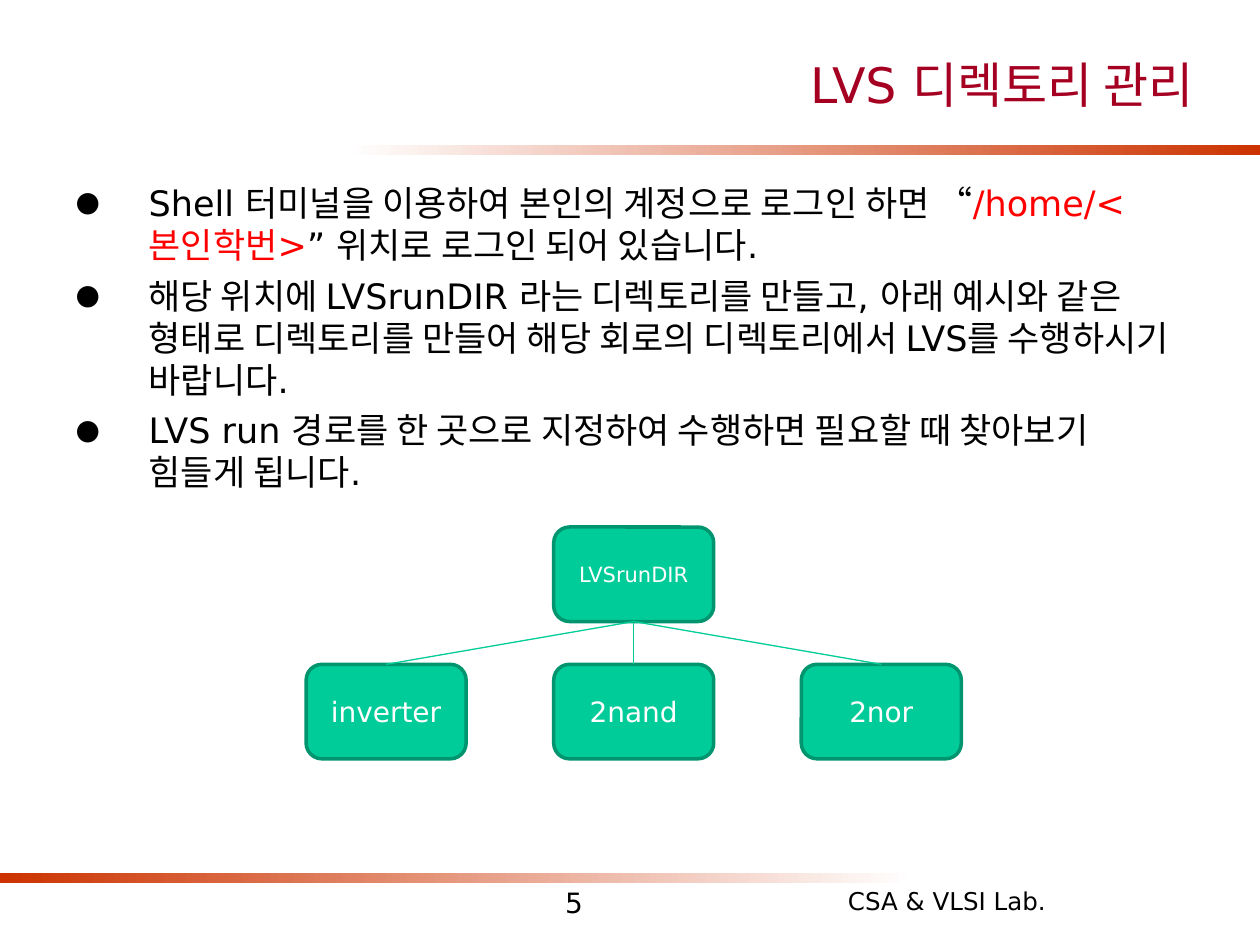
from dataclasses import dataclass

import lxml.etree
import pptx
import pptx.dml.color
import pptx.enum.shapes
import pptx.enum.text
import pptx.oxml.ns
import pptx.util

FONT = "DejaVu Sans"
RED, BLACK, WHITE, GREEN = "CC3300", "000000", "FFFFFF", "00CC99"
ALIGN = pptx.enum.text.PP_ALIGN
ANCHOR = pptx.enum.text.MSO_ANCHOR
SHAPE = pptx.enum.shapes.MSO_SHAPE
qn = pptx.oxml.ns.qn

GRID_LEFT, GRID_TOP = 0.243, 0.5577
COL_STEP, ROW_STEP = 0.1965, 0.1453
NODE_W, NODE_H = 0.127, 0.1


@dataclass
class Box:
    left: float
    top: float
    width: float
    height: float


@dataclass
class Run:
    text: str
    color: str = BLACK


@dataclass
class Node:
    name: str
    col: int
    row: int
    size: int = 16


@dataclass
class Bar:
    box: Box
    start: str
    end: str


@dataclass
class Footer:
    text: str
    box: Box
    size: int
    align: ALIGN


BARS = [
    Bar(Box(0.275, 0.1533, 0.725, 0.0107), WHITE, RED),
    Bar(Box(0, 0.924, 0.725, 0.0107), RED, WHITE),
]
BULLETS = [
    [
        Run("Shell 터미널을 이용하여 본인의 계정으로 로그인 하면 “"),
        Run("/home/<본인학번>", "FF0000"),
        Run("” 위치로 로그인 되어 있습니다."),
    ],
    [Run("해당 위치에 LVSrunDIR 라는 디렉토리를 만들고, 아래 예시와 같은 형태로 "
         "디렉토리를 만들어 해당 회로의 디렉토리에서 LVS를 수행하시기 바랍니다.")],
    [Run("LVS run 경로를 한 곳으로 지정하여 수행하면 필요할 때 찾아보기 힘들게 됩니다.")],
]
FOOTERS = [
    Footer("CSA & VLSI Lab.", Box(0.571, 0.9307, 0.269, 0.0693), 14, ALIGN.RIGHT),
    Footer("5", Box(0.339, 0.9307, 0.233, 0.0693), 16, ALIGN.CENTER),
]
ROOT = Node("LVSrunDIR", 1, 0, 12)
CHILDREN = [Node("inverter", 0, 1), Node("2nand", 1, 1), Node("2nor", 2, 1)]

prs = pptx.Presentation()
prs.slide_width = pptx.util.Inches(10)
prs.slide_height = pptx.util.Inches(7.5)
s = prs.slides.add_slide(prs.slide_layouts[1])


def rgb(value: str) -> pptx.dml.color.RGBColor:
    return pptx.dml.color.RGBColor.from_string(value)


def place(box: Box) -> tuple[int, int, int, int]:
    w, h = prs.slide_width, prs.slide_height
    return (round(box.left * w), round(box.top * h),
            round(box.width * w), round(box.height * h))


def add_run(p, run: Run, size: int) -> None:
    r = p.add_run()
    r.text = run.text
    r.font.name = FONT
    r.font.size = pptx.util.Pt(size)
    r.font.color.rgb = rgb(run.color)


def set_line(sp, run: Run, size: int, align: ALIGN, anchor: ANCHOR) -> None:
    tf = sp.text_frame
    tf.word_wrap = True
    tf.auto_size = pptx.enum.text.MSO_AUTO_SIZE.NONE
    tf.vertical_anchor = anchor
    p = tf.paragraphs[0]
    p.alignment = align
    add_run(p, run, size)


def set_bullet(p) -> None:
    pPr = p._p.get_or_add_pPr()
    indent = pptx.util.Inches(0.58)
    pPr.set("marL", str(indent))
    pPr.set("indent", str(-indent))
    color = lxml.etree.SubElement(pPr, qn("a:buClr"))
    lxml.etree.SubElement(color, qn("a:srgbClr"), val=BLACK)
    lxml.etree.SubElement(pPr, qn("a:buSzPct"), val="80000")
    lxml.etree.SubElement(pPr, qn("a:buFont"), typeface=FONT)
    lxml.etree.SubElement(pPr, qn("a:buChar"), char="●")


def move(sp, box: Box) -> None:
    sp.left, sp.top, sp.width, sp.height = place(box)


def add_bar(bar: Bar) -> None:
    sp = s.shapes.add_shape(SHAPE.RECTANGLE, *place(bar.box))
    sp.shadow.inherit = False
    sp.line.fill.background()
    sp.fill.gradient()
    sp.fill.gradient_angle = 0
    for stop, color in zip(sp.fill.gradient_stops, (bar.start, bar.end)):
        stop.color.rgb = rgb(color)


def add_node(node: Node):
    box = Box(GRID_LEFT + node.col * COL_STEP, GRID_TOP + node.row * ROW_STEP, NODE_W, NODE_H)
    sp = s.shapes.add_shape(SHAPE.ROUNDED_RECTANGLE, *place(box))
    sp.shadow.inherit = False
    sp.fill.solid()
    sp.fill.fore_color.rgb = rgb(GREEN)
    sp.line.color.rgb = rgb("00956F")
    sp.line.width = pptx.util.Pt(2)
    set_line(sp, Run(node.name, WHITE), node.size, ALIGN.CENTER, ANCHOR.MIDDLE)
    return sp


def join(parent, child) -> None:
    line = s.shapes.add_connector(pptx.enum.shapes.MSO_CONNECTOR.STRAIGHT, 0, 0, 0, 0)
    line.begin_connect(parent, 2)
    line.end_connect(child, 0)
    line.line.color.rgb = rgb("00CC98")
    line.line.width = pptx.util.Pt(0.75)
    lxml.etree.SubElement(line._element.spPr, qn("a:effectLst"))


for bar in BARS:
    add_bar(bar)

title = s.shapes.title
move(title, Box(0.175, 0.044, 0.782, 0.0893))
set_line(title, Run("LVS 디렉토리 관리", "A50021"), 28, ALIGN.RIGHT, ANCHOR.MIDDLE)

body = s.placeholders[1]
move(body, Box(0.05, 0.1853, 0.907, 0.704))
tf = body.text_frame
tf.auto_size = pptx.enum.text.MSO_AUTO_SIZE.NONE
for i, runs in enumerate(BULLETS):
    p = tf.add_paragraph() if i else tf.paragraphs[0]
    p.space_before = pptx.util.Pt(5)
    set_bullet(p)
    for run in runs:
        add_run(p, run, 20)

for footer in FOOTERS:
    sp = s.shapes.add_textbox(*place(footer.box))
    set_line(sp, Run(footer.text), footer.size, footer.align, ANCHOR.TOP)

root = add_node(ROOT)
for child in [add_node(node) for node in CHILDREN]:
    join(root, child)

prs.save("out.pptx")
